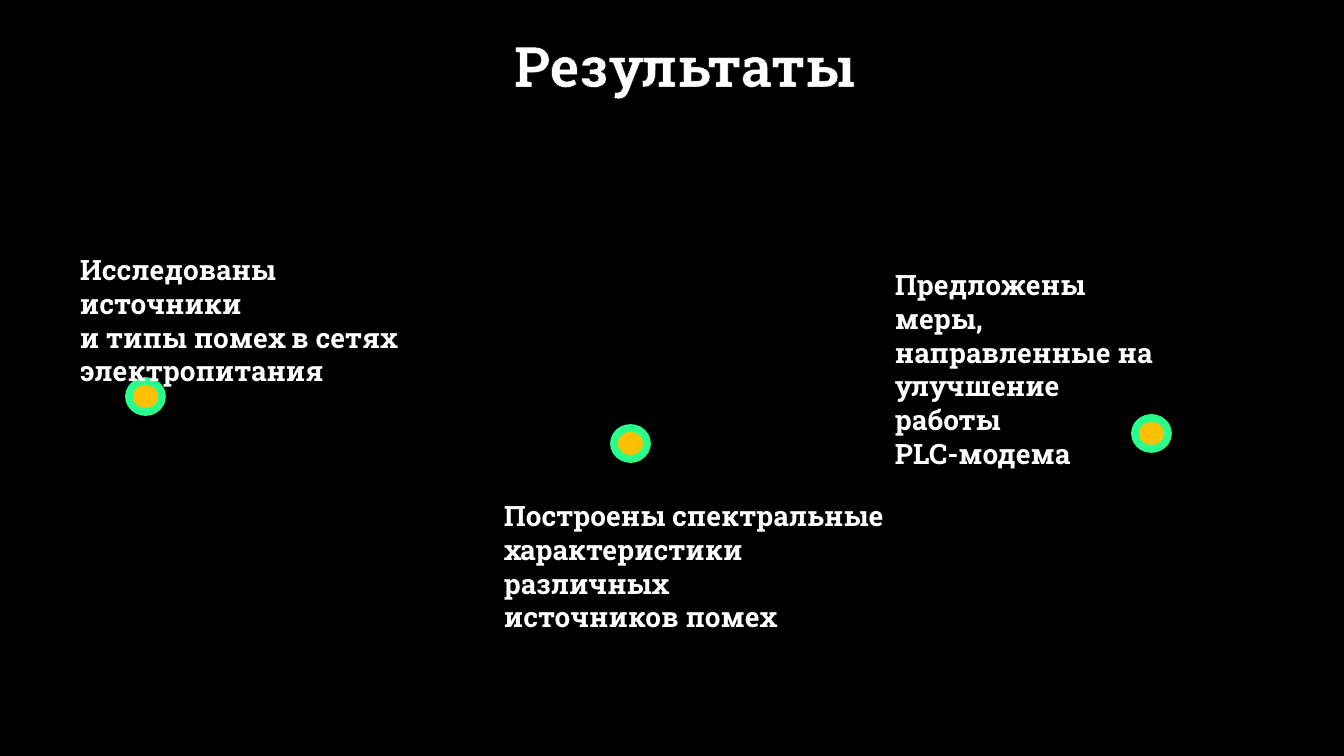
"""Builds the results slide with three findings and their markers."""
from lxml import etree
from pptx import Presentation
from pptx.dml.color import RGBColor
from pptx.enum.shapes import MSO_SHAPE
from pptx.oxml.ns import qn
from pptx.util import Pt

ELLIPSE = MSO_SHAPE.OVAL
EMU_PER_PX = 914400 / 100.8
PAGE_SIZE = (1344, 756)
COLORS = {"black": "000000", "white": "FFFFFF", "amber": "FFC000", "green": "29FF8A"}
FINDINGS = [
    ((70, 248, 366, 112), "Исследованы источники \nи типы помех в сетях\nэлектропитания"),
    ((494, 494, 403, 112), "Построены спектральные\nхарактеристики различных\nисточников помех"),
    ((885, 263, 291, 146), "Предложены меры,\nнаправленные на\nулучшение работы\nPLC-модема"),
]
MARKERS = [(129, 381), (614, 428), (1135, 418)]


def emu(px):
    return round(px * EMU_PER_PX)


def color(name):
    return RGBColor.from_string(COLORS[name])


class ResultsPage:
    font = "Roboto Slab"
    marker_size = (33, 31)

    def __init__(self, deck):
        self.page = deck.slides.add_slide(deck.slide_layouts[6])
        fill = self.page.background.fill
        fill.solid()
        fill.fore_color.rgb = color("black")

    def text(self, content, frame, size=20, outline=None):
        box = self.page.shapes.add_textbox(*map(emu, frame))
        box.text_frame.word_wrap = True
        para = box.text_frame.paragraphs[0]
        para.text = content
        for span in para.runs:
            span.font.name = self.font
            span.font.size = Pt(size)
            span.font.bold = True
            span.font.color.rgb = color("white")
            if outline:
                self.outline(span, outline)

    def outline(self, span, name):
        line = etree.Element(qn("a:ln"), w=str(Pt(1.06)))
        fill = etree.SubElement(line, qn("a:solidFill"))
        etree.SubElement(fill, qn("a:srgbClr"), val=COLORS[name])
        span.font._element.insert(0, line)

    def marker(self, left, top):
        dot = self.page.shapes.add_shape(ELLIPSE, *map(emu, (left, top, *self.marker_size)))
        dot.shadow.inherit = False
        dot.fill.solid()
        dot.fill.fore_color.rgb = color("amber")
        dot.line.color.rgb = color("green")
        dot.line.width = Pt(5.5)


def main():
    deck = Presentation()
    deck.slide_width, deck.slide_height = map(emu, PAGE_SIZE)
    results = ResultsPage(deck)
    results.text("Результаты", (504, 26, 382, 78), size=40, outline="black")
    for position in MARKERS:
        results.marker(*position)
    for frame, content in FINDINGS:
        results.text(content, frame)
    deck.save("out.pptx")


if __name__ == "__main__":
    main()
